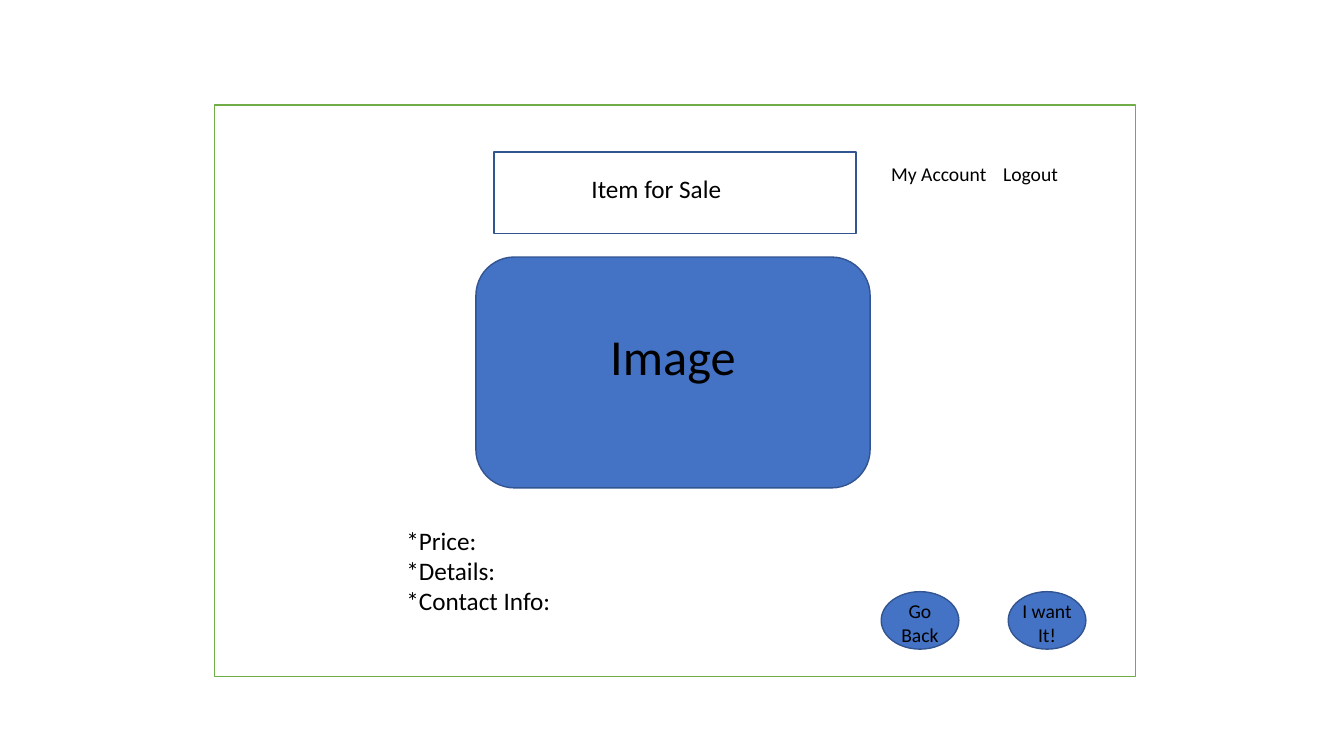
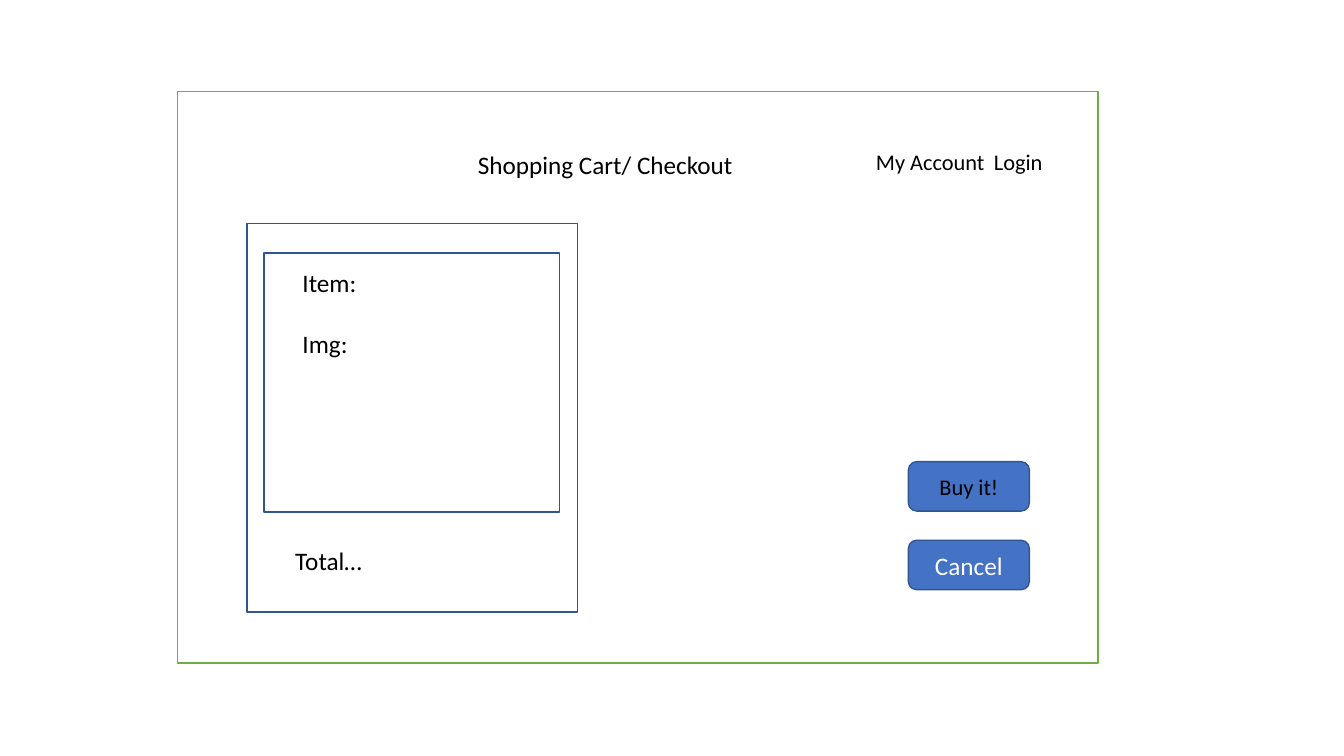
"""Build two wireframe slides of a web shop: an item page and a checkout page."""
from lxml import etree
from pptx import Presentation
from pptx.dml.color import RGBColor
from pptx.enum.shapes import MSO_SHAPE
from pptx.enum.text import MSO_ANCHOR, MSO_AUTO_SIZE, PP_ALIGN
from pptx.oxml.ns import qn
from pptx.util import Inches, Pt

RECTANGLE, ROUNDED, OVAL = MSO_SHAPE.RECTANGLE, MSO_SHAPE.ROUNDED_RECTANGLE, MSO_SHAPE.OVAL
LEFT, CENTER = PP_ALIGN.LEFT, PP_ALIGN.CENTER
TOP, MIDDLE = MSO_ANCHOR.TOP, MSO_ANCHOR.MIDDLE
NO_AUTOFIT = MSO_AUTO_SIZE.NONE

COLORS = {"paper": "FFFFFF", "ink": "000000", "window": "70AD47",
          "outline": "325491", "accent": "4472C4"}
FONT = "Calibri"
TITLE_AND_CONTENT = 1
PAGE_WIDTH, PAGE_HEIGHT = 9.13, 5.67
INSETS = (0.1, 0.05, 0.1, 0.05)


def color(name):
    """Return the named colour."""
    return RGBColor.from_string(COLORS[name])


def place(shape, left, top, width, height):
    """Move and size a shape, in inches."""
    shape.left, shape.top = Inches(left), Inches(top)
    shape.width, shape.height = Inches(width), Inches(height)


def write(shape, text, size=18, ink="ink", align=LEFT, anchor=TOP, insets=INSETS, gap=0):
    """Write one paragraph per line of text; gap is the space between them in points."""
    frame = shape.text_frame
    frame.word_wrap, frame.auto_size = True, NO_AUTOFIT
    frame.vertical_anchor = anchor
    (frame.margin_left, frame.margin_top,
     frame.margin_right, frame.margin_bottom) = map(Inches, insets)
    for index, line in enumerate(text.split("\n")):
        para = frame.add_paragraph() if index else frame.paragraphs[0]
        para.alignment, para.line_spacing = align, 1.0
        para.space_before = Pt(gap if index else 0)
        span = para.add_run()
        span.text = line
        span.font.name, span.font.size = FONT, Pt(size)
        span.font.color.rgb = color(ink)


class Wireframe:
    """Holds the deck, its style and the current page."""

    def __init__(self):
        """Start an empty widescreen deck."""
        self.deck = Presentation()
        self.deck.slide_width, self.deck.slide_height = Inches(13.33), Inches(7.5)
        self.page = None

    def add_page(self, left, top):
        """Add a page with its green browser window."""
        layout = self.deck.slide_layouts[TITLE_AND_CONTENT]
        self.page = self.deck.slides.add_slide(layout)
        self.panel(left, top, PAGE_WIDTH, PAGE_HEIGHT, line="window")

    def panel(self, *area, kind=RECTANGLE, fill="paper", line="outline"):
        """Draw an outlined shape."""
        box = self.page.shapes.add_shape(kind, *map(Inches, area))
        box.shadow.inherit = False
        box.fill.solid()
        box.fill.fore_color.rgb = color(fill)
        box.line.color.rgb = color(line)
        box.line.width = Pt(1)
        return box

    def button(self, text, *area, kind=ROUNDED, insets=(0, 0, 0, 0), **style):
        """Draw a blue shape with a centred label."""
        box = self.panel(*area, kind=kind, fill="accent")
        write(box, text, align=CENTER, anchor=MIDDLE, insets=insets, **style)

    def label(self, text, *area, **style):
        """Add a text box."""
        box = self.page.shapes.add_textbox(*map(Inches, area))
        write(box, text, **style)
        return box

    def menu(self, links, *area, tab, size):
        """Add two links in one line, the second at a tab stop."""
        box = self.label("\t".join(links), *area, size=size)
        properties = box.text_frame.paragraphs[0]._p.get_or_add_pPr()
        stops = etree.SubElement(properties, qn("a:tabLst"))
        etree.SubElement(stops, qn("a:tab"), pos=str(Inches(tab)), algn="l")

    def to_front(self, holder):
        """Lift a placeholder above the shapes drawn so far."""
        self.page.shapes._spTree.append(holder._element)

    def title(self, text, *area, align=LEFT):
        """Fill the title placeholder."""
        holder = self.page.shapes.title
        place(holder, *area)
        write(holder, text, align=align)
        self.to_front(holder)

    def fields(self, names, *area, gap=0):
        """Fill the body placeholder with a list without bullets."""
        holder = self.page.placeholders[1]
        place(holder, *area)
        write(holder, "\n".join(names), gap=gap)
        for para in holder.text_frame.paragraphs:
            properties = para._p.get_or_add_pPr()
            properties.set("marL", "0")
            properties.set("indent", "0")
            etree.SubElement(properties, qn("a:buNone"))
        self.to_front(holder)


def item_page(frame):
    """Build the page of one item for sale."""
    frame.add_page(2.13, 1.04)
    frame.panel(4.9, 1.51, 3.59, 0.81)
    frame.title("Item for Sale", 4.28, 1.67, 4.46, 0.4, align=CENTER)
    frame.button("Image", 4.72, 2.55, 3.91, 2.29, size=36, insets=(0, 0, 0, 0.34))
    frame.fields(["*Price:", "*Details:", "*Contact Info:"], 3.93, 5.16, 1.77, 1.01)
    frame.menu(["My Account", "Logout"], 8.74, 1.56, 2.14, 0.34, tab=1.11, size=14)
    for index, text in enumerate(["Go\nBack", "I want It!"]):
        frame.button(text, 8.74 + 1.26 * index, 5.87, 0.77, 0.57, kind=OVAL,
                     size=14, insets=(0, 0.04, 0, 0))


def checkout_page(frame):
    """Build the shopping cart page."""
    frame.add_page(1.76, 0.91)
    frame.title("Shopping Cart/ Checkout", 4.64, 1.43, 3.81, 0.4)
    frame.menu(["My Account", "Login"], 8.59, 1.42, 2.04, 0.37, tab=1.17, size=16)
    frame.panel(2.45, 2.22, 3.28, 3.85)
    frame.panel(2.62, 2.51, 2.93, 2.57)
    frame.fields(["Item:", "Img:"], 2.9, 2.6, 2.65, 1.01, gap=22)
    frame.label("Total…", 2.83, 5.36, 1.96, 0.4)
    frame.button("Buy it!", 9.01, 4.58, 1.2, 0.49, size=16)
    frame.button("Cancel", 9.01, 5.36, 1.2, 0.49, ink="paper")


def main():
    """Build and save the deck."""
    frame = Wireframe()
    item_page(frame)
    checkout_page(frame)
    frame.deck.save("out.pptx")


main()
